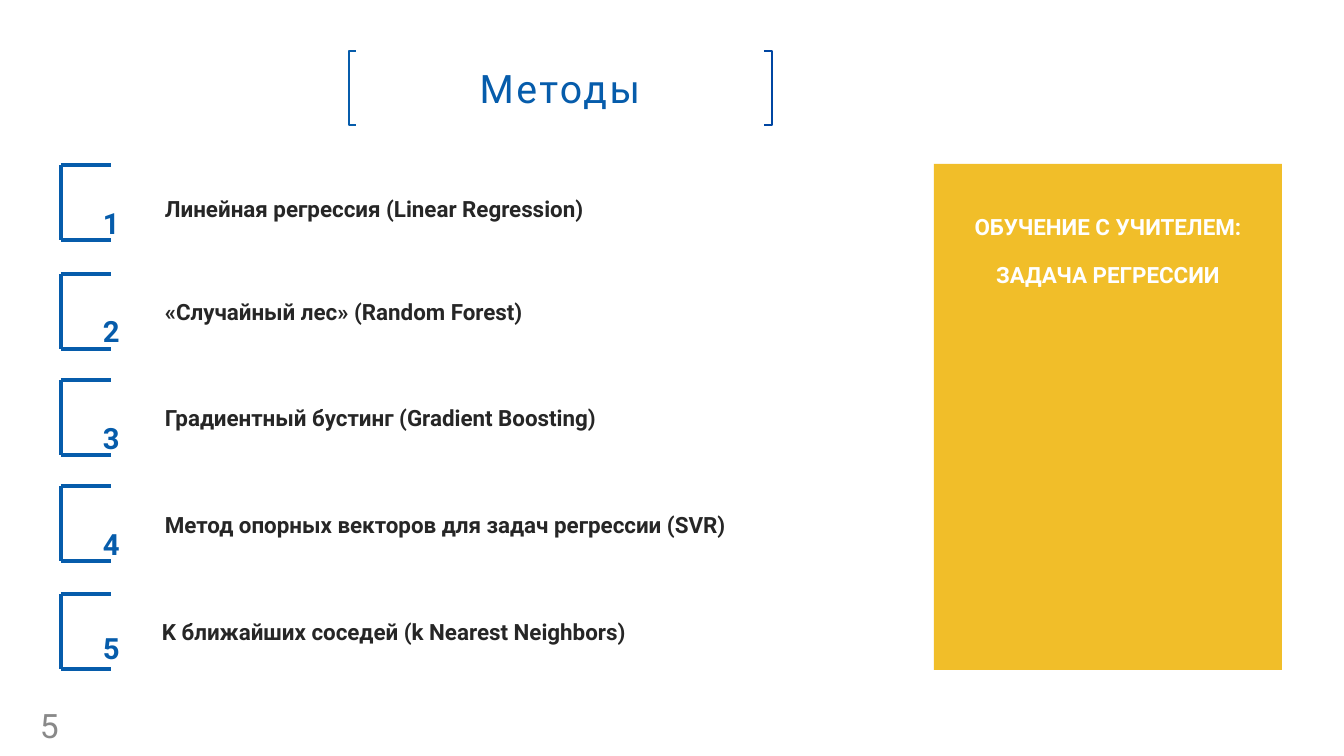
from lxml.etree import SubElement
from pptx import Presentation
from pptx.dml.color import RGBColor
from pptx.enum.shapes import MSO_CONNECTOR, MSO_SHAPE
from pptx.enum.text import MSO_ANCHOR, MSO_AUTO_SIZE, PP_ALIGN
from pptx.oxml.ns import qn
from pptx.util import Emu, Pt

# Content
TITLE = "Методы"
PAGE_NUMBER = "5"
PANEL_LINES = ["ОБУЧЕНИЕ С УЧИТЕЛЕМ:", "ЗАДАЧА РЕГРЕССИИ"]
# Method name, text left, then tops of bracket, text and number
METHODS = [
    ("Линейная регрессия (Linear Regression)", 155, 165, 190, 194),
    ("«Случайный лес» (Random Forest)", 155, 274, 293, 302),
    ("Градиентный бустинг (Gradient Boosting)", 155, 380, 399, 409),
    ("Метод опорных векторов для задач регрессии (SVR)", 155, 486, 506, 515),
    ("K ближайших соседей (k Nearest Neighbors)", 152, 594, 613, 619),
]

# Style and layout in px
FONT = "Roboto"
COLORS = {
    "blue": "065CAB",
    "deep_blue": "0046A2",
    "yellow": "F1BE29",
    "dark": "262626",
    "gray": "898989",
    "white": "FFFFFF",
}
EMU_PER_PX = 914400 / 100.8
SLIDE_SIZE = (1344, 756)
TITLE_BOX = (349, 51, 422, 74)
TITLE_BRACKETS = [(356, 349, "blue"), (764, 772, "deep_blue")]
PANEL_BOX = (934, 164, 348, 506)
BRACKET_LEFT, BRACKET_WIDTH, BRACKET_HEIGHT = 61, 50, 75


def px(value):
    return Emu(round(value * EMU_PER_PX))


def color(name):
    return RGBColor.from_string(COLORS[name])


def style(paragraph, size, color_name, bold=False, align=PP_ALIGN.LEFT):
    paragraph.alignment = align
    font = paragraph.font
    font.name, font.size, font.bold = FONT, Pt(size), bold
    font.color.rgb = color(color_name)


def set_run_attribute(paragraph, name, value):
    paragraph.runs[0]._r.get_or_add_rPr().set(name, value)


def add_text(slide, box, text, size, color_name, bold=False):
    shape = slide.shapes.add_textbox(*map(px, box))
    frame = shape.text_frame
    frame.word_wrap = True
    frame.auto_size = MSO_AUTO_SIZE.SHAPE_TO_FIT_TEXT
    frame.text = text
    style(frame.paragraphs[0], size, color_name, bold)
    return frame


def add_rectangle(slide, box, fill_name):
    shape = slide.shapes.add_shape(MSO_SHAPE.RECTANGLE, *map(px, box))
    shape.shadow.inherit = False
    shape.fill.solid()
    shape.fill.fore_color.rgb = color(fill_name)
    shape.line.fill.background()
    shape.text_frame.word_wrap = True
    return shape


def add_line(slide, start, end):
    line = slide.shapes.add_connector(MSO_CONNECTOR.STRAIGHT, *map(px, start + end))
    line.line.color.rgb = color("blue")
    line.line.width = Pt(2.25)
    SubElement(line._element.spPr, qn("a:effectLst"))


def add_title(slide):
    frame = add_rectangle(slide, TITLE_BOX, "white").text_frame
    frame.vertical_anchor = MSO_ANCHOR.MIDDLE
    frame.text = TITLE
    paragraph = frame.paragraphs[0]
    style(paragraph, 28, "blue", align=PP_ALIGN.CENTER)
    set_run_attribute(paragraph, "spc", "180")

    top, bottom = TITLE_BOX[1], TITLE_BOX[1] + TITLE_BOX[3]
    for tip, side, color_name in TITLE_BRACKETS:
        builder = slide.shapes.build_freeform(tip, top, scale=EMU_PER_PX)
        builder.add_line_segments([(side, top), (side, bottom), (tip, bottom)], close=False)
        bracket = builder.convert_to_shape()
        bracket.shadow.inherit = False
        bracket.fill.background()
        bracket.line.color.rgb = color(color_name)
        bracket.line.width = Pt(1.3)


def add_panel(slide):
    frame = add_rectangle(slide, PANEL_BOX, "yellow").text_frame
    frame.vertical_anchor = MSO_ANCHOR.TOP
    frame.margin_left = frame.margin_right = px(8)
    frame.margin_top, frame.margin_bottom = px(52), px(4)
    frame.text = "\n".join(PANEL_LINES)
    for paragraph in frame.paragraphs:
        style(paragraph, 16, "white", True, PP_ALIGN.CENTER)
        paragraph.line_spacing = 0.9
    frame.paragraphs[1].space_before = Pt(17)


def add_method(slide, number, name, text_left, bracket_top, text_top, number_top):
    right, bottom = BRACKET_LEFT + BRACKET_WIDTH, bracket_top + BRACKET_HEIGHT
    add_line(slide, (BRACKET_LEFT, bracket_top), (BRACKET_LEFT, bottom))
    for y in (bracket_top, bottom):
        add_line(slide, (BRACKET_LEFT, y), (right, y))
    add_text(slide, (text_left, text_top, 685, 37), name, 16, "dark", True)
    frame = add_text(slide, (93, number_top, 119, 50), str(number), 36, "blue", True)
    set_run_attribute(frame.paragraphs[0], "baseline", "30000")


def main():
    presentation = Presentation()
    presentation.slide_width, presentation.slide_height = map(px, SLIDE_SIZE)
    slide = presentation.slides.add_slide(presentation.slide_layouts[6])

    add_title(slide)
    add_panel(slide)
    for number, method in enumerate(METHODS, 1):
        add_method(slide, number, *method)

    # Page number
    frame = add_text(slide, (30, 710, 62, 30), PAGE_NUMBER, 24, "gray")
    frame.auto_size = MSO_AUTO_SIZE.NONE
    frame.vertical_anchor = MSO_ANCHOR.MIDDLE

    presentation.save("out.pptx")


if __name__ == "__main__":
    main()
